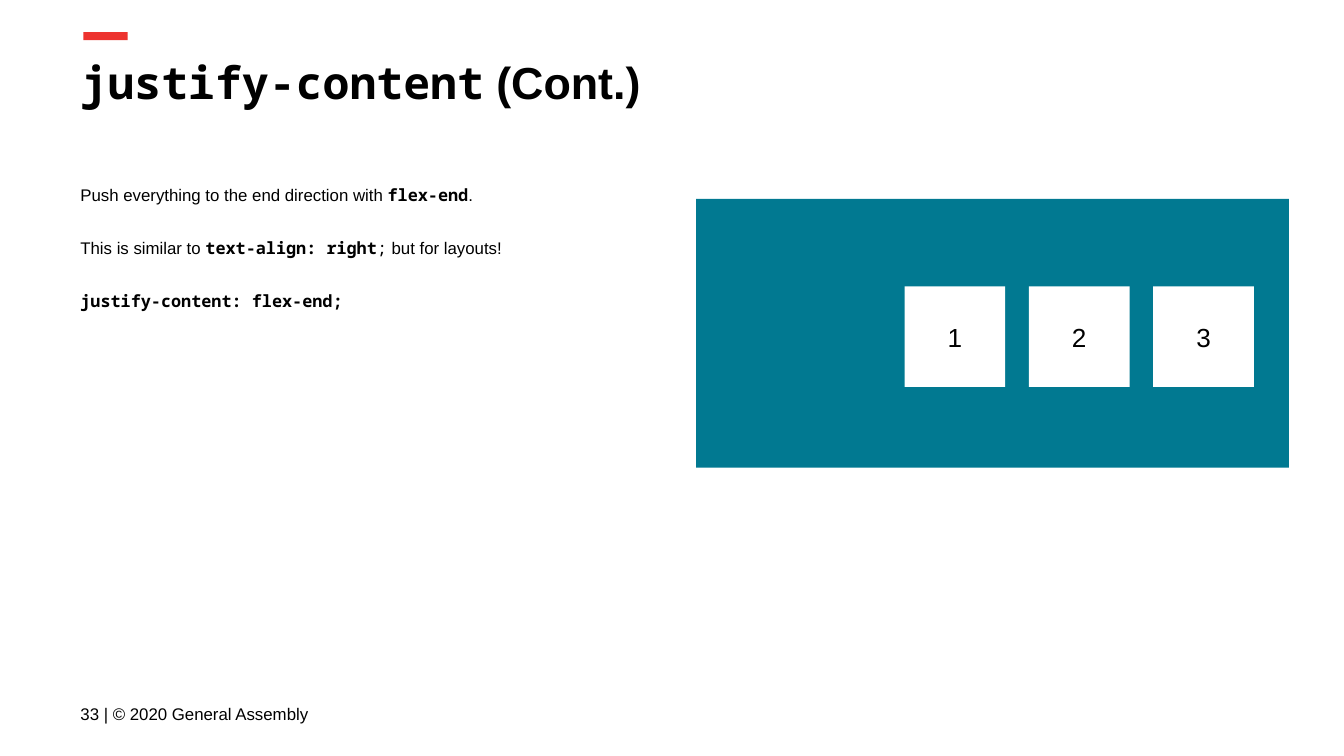
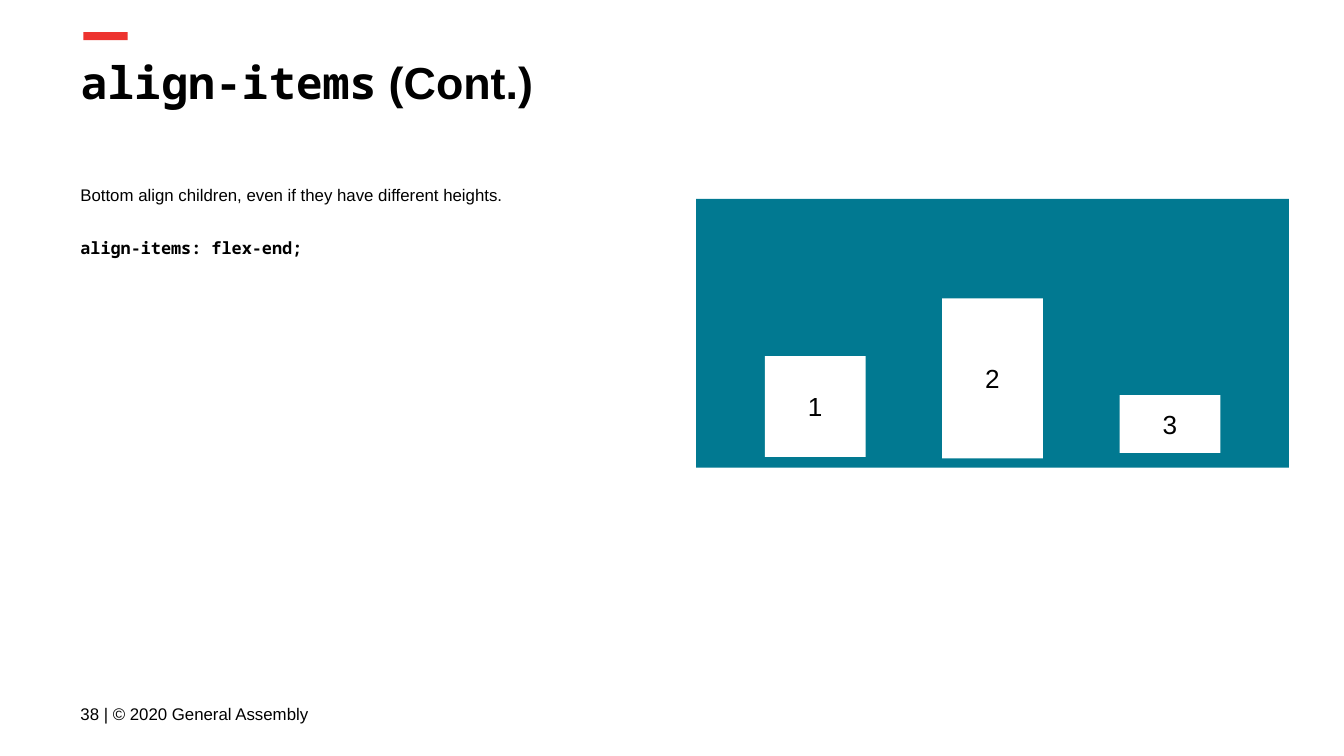
import pptx
import pptx.util
import pptx.dml.color
import pptx.enum.shapes
import pptx.enum.text
from dataclasses import dataclass

Inches = pptx.util.Inches
Pt = pptx.util.Pt
Align = pptx.enum.text.PP_ALIGN
Anchor = pptx.enum.text.MSO_ANCHOR


@dataclass(frozen=True)
class Theme:
    ink: str = "000000"
    paper: str = "FFFFFF"
    accent: str = "ED332F"
    panel: str = "017991"
    text_font: str = "Arial"
    code_font: str = "Noto Sans Mono"
    title_size: int = 24
    body_size: int = 9
    item_size: int = 14
    line_spacing: float = 1.15
    paragraph_gap: int = 16
    inset: float = 0.1


THEME = Theme()

TEXT = (THEME.text_font, False)
STRONG = (THEME.text_font, True)
CODE = (THEME.code_font, False)
STRONG_CODE = (THEME.code_font, True)

SLIDE_WIDTH = 10
SLIDE_HEIGHT = SLIDE_WIDTH * 9 / 16
ACCENT_BAR = (0.62, 0.24, 0.33, 0.06)
TITLE_BOX = (0.5, 0.31, 9.32, 0.63)
BODY_BOX = (0.5, 1.25, 4.5, 3.21)
FOOTER_BOX = (0.5, 5.1, 2.59, 0.43)
FLEX_PANEL = (5.18, 1.48, 4.41, 2)
ITEM_WIDTH = 0.75

SLIDES = [
    {
        "number": 33,
        "property": "justify-content",
        "body": [
            [("Push everything to the end direction with ", TEXT),
             ("flex-end", STRONG_CODE), (".", TEXT)],
            [("This is similar to ", TEXT), ("text-align: right", STRONG_CODE),
             (";", CODE), (" but for layouts!", TEXT)],
            [("justify-content: flex-end;", STRONG_CODE)],
        ],
        "first_left": 6.73,
        "last_left": 8.58,
        "items": [(2.13, 0.75), (2.13, 0.75), (2.13, 0.75)],
    },
    {
        "number": 38,
        "property": "align-items",
        "body": [
            [("Bottom align children, even if they have different heights.", TEXT)],
            [("align-items: flex-end;", STRONG_CODE)],
        ],
        "first_left": 5.69,
        "last_left": 8.33,
        "items": [(2.65, 0.75), (2.22, 1.19), (2.94, 0.43)],
    },
]


def color(value):
    return pptx.dml.color.RGBColor.from_string(value)


def place(box):
    return [Inches(length) for length in box]


def write(shape, paragraphs, size, anchor=Anchor.TOP, align=Align.LEFT,
          line_spacing=1.0, gap=0):
    frame = shape.text_frame
    frame.word_wrap = True
    frame.auto_size = pptx.enum.text.MSO_AUTO_SIZE.NONE
    frame.vertical_anchor = anchor
    frame.margin_left = frame.margin_right = Inches(THEME.inset)
    frame.margin_top = frame.margin_bottom = Inches(THEME.inset)
    for index, runs in enumerate(paragraphs):
        paragraph = frame.add_paragraph() if index else frame.paragraphs[0]
        paragraph.alignment = align
        paragraph.line_spacing = line_spacing
        paragraph.space_before = Pt(gap if index else 0)
        for text, (font_name, bold) in runs:
            run = paragraph.add_run()
            run.text = text
            run.font.name = font_name
            run.font.bold = bold
            run.font.size = Pt(size)
            run.font.color.rgb = color(THEME.ink)


def add_rectangle(slide, box, fill):
    shape = slide.shapes.add_shape(
        pptx.enum.shapes.MSO_SHAPE.RECTANGLE, *place(box))
    shape.shadow.inherit = False
    shape.fill.solid()
    shape.fill.fore_color.rgb = color(fill)
    shape.line.fill.background()
    return shape


def add_frame(slide, content):
    add_rectangle(slide, ACCENT_BAR, THEME.accent)
    title = slide.shapes.title
    title.left, title.top, title.width, title.height = place(TITLE_BOX)
    write(title, [[(content["property"], STRONG_CODE), (" (Cont.)", STRONG)]],
          THEME.title_size)
    footer = slide.shapes.add_textbox(*place(FOOTER_BOX))
    write(footer, [[(f"{content['number']} | © 2020 General Assembly", TEXT)]],
          THEME.body_size, anchor=Anchor.MIDDLE)


def add_flex_diagram(slide, content):
    add_rectangle(slide, FLEX_PANEL, THEME.panel)
    items = content["items"]
    pitch = (content["last_left"] - content["first_left"]) / (len(items) - 1)
    for index, (top, height) in enumerate(items):
        left = content["first_left"] + index * pitch
        item = add_rectangle(slide, (left, top, ITEM_WIDTH, height), THEME.paper)
        write(item, [[(str(index + 1), TEXT)]], THEME.item_size,
              anchor=Anchor.MIDDLE, align=Align.CENTER)


def main():
    presentation = pptx.Presentation()
    presentation.slide_width = Inches(SLIDE_WIDTH)
    presentation.slide_height = Inches(SLIDE_HEIGHT)
    title_only = presentation.slide_layouts.get_by_name("Title Only")
    for content in SLIDES:
        slide = presentation.slides.add_slide(title_only)
        add_frame(slide, content)
        body = slide.shapes.add_textbox(*place(BODY_BOX))
        write(body, content["body"], THEME.body_size,
              line_spacing=THEME.line_spacing, gap=THEME.paragraph_gap)
        add_flex_diagram(slide, content)
    presentation.save("out.pptx")


if __name__ == "__main__":
    main()
